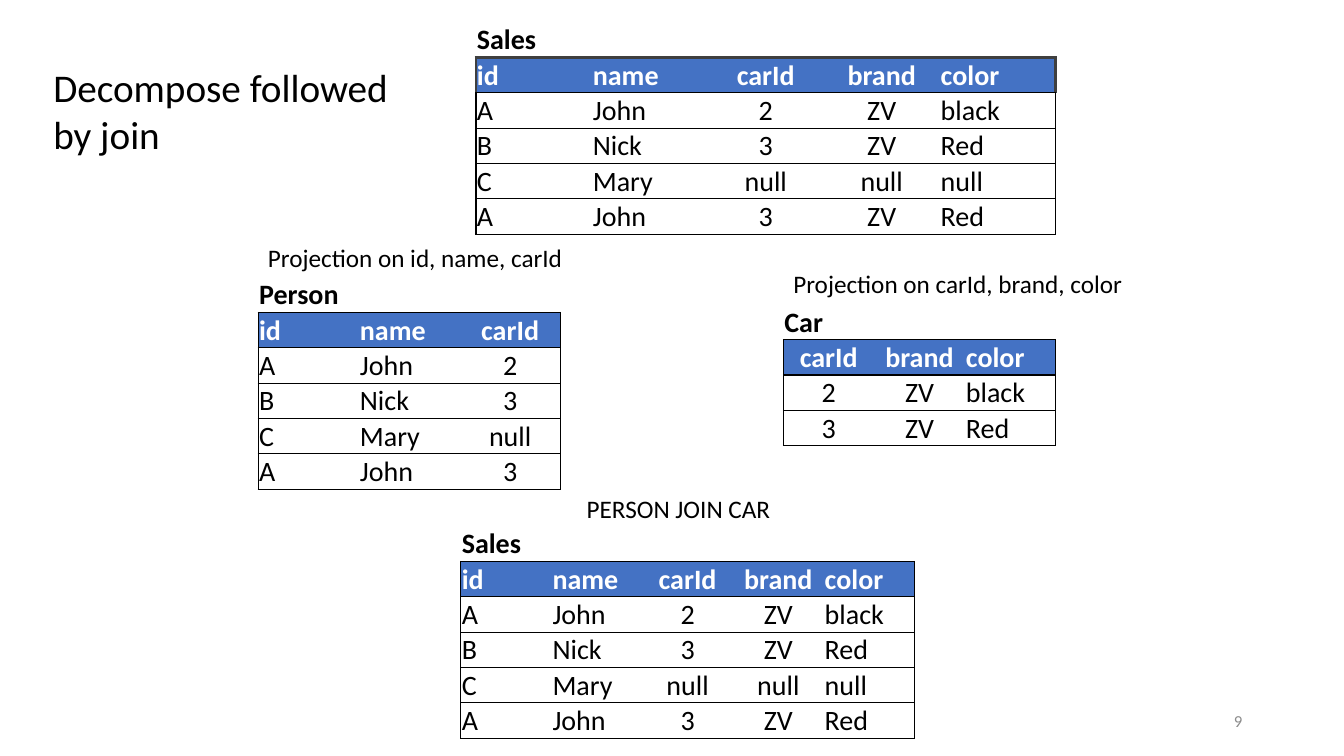
"""Build the slide that decomposes a Sales table and joins it back."""
from lxml.etree import SubElement
from pptx import Presentation
from pptx.dml.color import RGBColor
from pptx.enum.text import MSO_ANCHOR, PP_ALIGN
from pptx.oxml.ns import qn
from pptx.util import Inches, Pt

BLACK = RGBColor(0x00, 0x00, 0x00)
WHITE = RGBColor(0xFF, 0xFF, 0xFF)
BLUE = RGBColor(0x44, 0x72, 0xC4)
DARK_GRAY = RGBColor(0x3F, 0x3F, 0x3F)
GRAY = RGBColor(0x8C, 0x8C, 0x8C)
FONT = "Calibri"
NO_STYLE = "{2D5ABB26-0587-4C30-8999-92F81FD0307C}"
ROW_HEIGHT = 0.347

SALES = [
    ("id", "name", "carId", "brand", "color"),
    ("A", "John", "2", "ZV", "black"),
    ("B", "Nick", "3", "ZV", "Red"),
    ("C", "Mary", "null", "null", "null"),
    ("A", "John", "3", "ZV", "Red"),
]
PERSON = [row[:3] for row in SALES]
CAR = [row[2:] for row in SALES[:3]]
CENTERED = ("carId", "brand")

# name, rows, left, top, column width, header outline colour, header outline points
TABLES = [
    ("Person", PERSON, 2.56, 2.75, 1.0, BLACK, 1),
    ("Car", CAR, 7.77, 3.02, 0.9, BLACK, 1),
    ("Sales", SALES, 4.57, 5.22, 0.9, BLACK, 1),
    ("Sales", SALES, 4.72, 0.22, 1.15, DARK_GRAY, 2),
]

# text, left, top, width, height, size, colour, alignment, anchor, wrap
TEXTS = [
    ("Decompose followed by join", 0.43, 0.58, 3.71, 1.04, 28, BLACK,
     PP_ALIGN.LEFT, MSO_ANCHOR.TOP, True),
    ("Projection on id, name, carId", 2.56, 2.35, 3.16, 0.4, 18, BLACK,
     PP_ALIGN.LEFT, MSO_ANCHOR.TOP, False),
    ("Projection on carId, brand, color", 7.77, 2.61, 3.51, 0.4, 18, BLACK,
     PP_ALIGN.LEFT, MSO_ANCHOR.TOP, False),
    ("PERSON JOIN CAR", 5.72, 4.84, 2.05, 0.4, 18, BLACK,
     PP_ALIGN.LEFT, MSO_ANCHOR.TOP, False),
    ("9", 9.42, 6.95, 3, 0.4, 12, GRAY,
     PP_ALIGN.RIGHT, MSO_ANCHOR.MIDDLE, True),
]


def style_paragraph(p, size, color, align, bold=False):
    p.alignment = align
    p.font.name = FONT
    p.font.size = Pt(size)
    p.font.bold = bold
    p.font.color.rgb = color


def add_text(s, text, left, top, width, height, size, color, align, anchor, wrap):
    box = s.shapes.add_textbox(Inches(left), Inches(top), Inches(width), Inches(height))
    tf = box.text_frame
    tf.word_wrap = wrap
    tf.vertical_anchor = anchor
    p = tf.paragraphs[0]
    p.text = text
    style_paragraph(p, size, color, align)


def add_border(cell, side, color, points):
    ln = SubElement(cell._tc.get_or_add_tcPr(), qn(f"a:ln{side}"), w=str(Pt(points)))
    fill = SubElement(ln, qn("a:solidFill"))
    SubElement(fill, qn("a:srgbClr"), val=str(color))


def add_borders(cell, row, col, last_col, head_color, head_points):
    outline = (head_color, head_points) if row == 1 else (BLACK, 1)
    if row > 0:
        if col == 0:
            add_border(cell, "L", *outline)
        if col == last_col:
            add_border(cell, "R", *outline)
        add_border(cell, "T", *outline)
    bottom = (head_color, head_points) if row == 0 else (BLACK, 1)
    add_border(cell, "B", *bottom)


def add_relation(s, name, rows, left, top, col_width, head_color, head_points):
    header = rows[0]
    lines = [(name,) + ("",) * (len(header) - 1)] + rows
    frame = s.shapes.add_table(
        len(lines), len(header), Inches(left), Inches(top),
        Inches(col_width * len(header)), Inches(ROW_HEIGHT * len(lines)))
    table = frame.table
    table.first_row = table.horz_banding = False
    table._tbl.tblPr.find(qn("a:tableStyleId")).text = NO_STYLE
    for column in table.columns:
        column.width = Inches(col_width)
    for i, line in enumerate(lines):
        table.rows[i].height = Inches(ROW_HEIGHT)
        for j, text in enumerate(line):
            cell = table.cell(i, j)
            cell.margin_left = cell.margin_right = cell.margin_top = Inches(0.01)
            cell.margin_bottom = 0
            cell.vertical_anchor = MSO_ANCHOR.BOTTOM
            add_borders(cell, i, j, len(header) - 1, head_color, head_points)
            if i == 1:
                cell.fill.solid()
                cell.fill.fore_color.rgb = BLUE
            else:
                cell.fill.background()
            p = cell.text_frame.paragraphs[0]
            p.text = text
            centered = i > 0 and header[j] in CENTERED
            style_paragraph(p, 20, WHITE if i == 1 else BLACK,
                            PP_ALIGN.CENTER if centered else PP_ALIGN.LEFT, i < 2)


def main():
    prs = Presentation()
    prs.slide_width, prs.slide_height = Inches(13.33), Inches(7.5)
    s = prs.slides.add_slide(prs.slide_layouts[6])
    for relation in TABLES:
        add_relation(s, *relation)
    for text in TEXTS:
        add_text(s, *text)
    prs.save("out.pptx")


if __name__ == "__main__":
    main()
